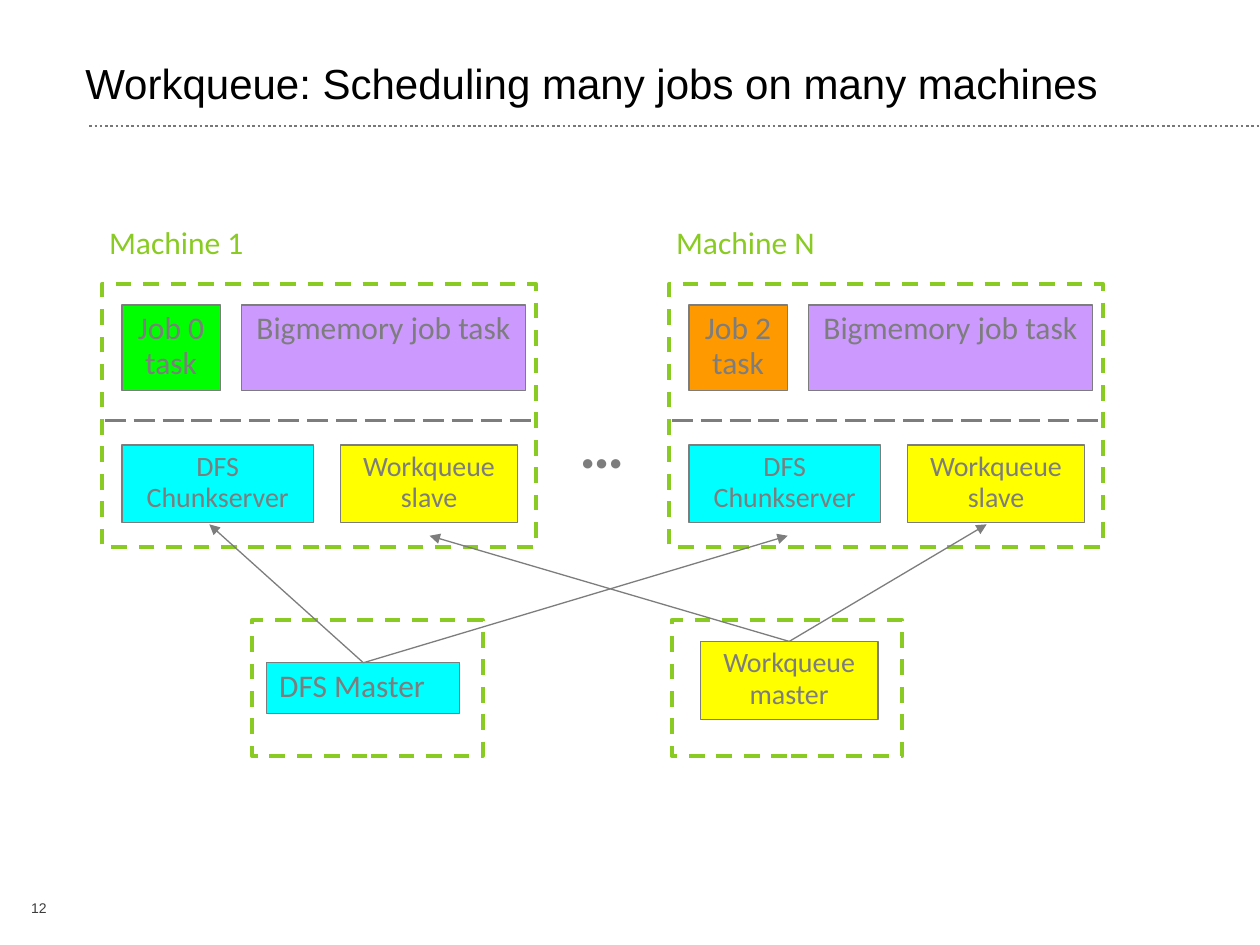
from lxml import etree
from pptx import Presentation
from pptx.dml.color import RGBColor
from pptx.enum import dml, shapes, text
from pptx.oxml import ns
from pptx.util import Cm, Pt

BLACK = RGBColor(0x00, 0x00, 0x00)
GRAY = RGBColor(0x7D, 0x7D, 0x7D)
RULE_GRAY = RGBColor(0x77, 0x77, 0x77)
NUMBER_GRAY = RGBColor(0x3C, 0x3C, 0x3C)
MACHINE_GREEN = RGBColor(0x89, 0xCB, 0x22)
CYAN = RGBColor(0x00, 0xFF, 0xFF)
YELLOW = RGBColor(0xFF, 0xFF, 0x00)
GREEN = RGBColor(0x00, 0xFF, 0x00)
ORANGE = RGBColor(0xFF, 0x99, 0x00)
PURPLE = RGBColor(0xCC, 0x99, 0xFF)

CENTER = text.PP_ALIGN.CENTER
LEFT = text.PP_ALIGN.LEFT
TOP = text.MSO_ANCHOR.TOP
DASH = dml.MSO_LINE


class Diagram:
    font = "Calibri"
    spacing = 0.93

    def __init__(self, slide):
        self.slide = slide

    def style_text(self, frame, content, size, color, align=LEFT, anchor=TOP,
                   font=None, bold=False, spacing=None, bottom=0.13):
        frame.text = content
        frame.word_wrap = True
        frame.auto_size = text.MSO_AUTO_SIZE.NONE
        frame.vertical_anchor = anchor
        frame.margin_left = frame.margin_right = Cm(0.25)
        frame.margin_top, frame.margin_bottom = Cm(0.13), Cm(bottom)
        for paragraph in frame.paragraphs:
            paragraph.alignment = align
            paragraph.line_spacing = spacing or self.spacing
            for run in paragraph.runs:
                run.font.name = font or self.font
                run.font.size = Pt(size)
                run.font.bold = bold
                run.font.color.rgb = color

    def title(self, content):
        heading = self.slide.shapes.title
        heading.left, heading.top = Cm(1.47), Cm(0.41)
        heading.width, heading.height = Cm(23.29), Cm(1.9)
        self.style_text(heading.text_frame, content, 24, BLACK, font="Arial",
                        anchor=text.MSO_ANCHOR.BOTTOM, spacing=0.87)

    def label(self, content, left, top, width, height, size, color, **style):
        box = self.slide.shapes.add_textbox(Cm(left), Cm(top), Cm(width), Cm(height))
        self.style_text(box.text_frame, content, size, color, **style)

    def rectangle(self, left, top, width, height, color, weight):
        box = self.slide.shapes.add_shape(
            shapes.MSO_SHAPE.RECTANGLE, Cm(left), Cm(top), Cm(width), Cm(height))
        box.shadow.inherit = False
        box.line.color.rgb = color
        box.line.width = Pt(weight)
        return box

    def process(self, content, left, top, width, height, fill, size=16, align=CENTER):
        box = self.rectangle(left, top, width, height, GRAY, 0.75)
        box.fill.solid()
        box.fill.fore_color.rgb = fill
        self.style_text(box.text_frame, content, size, GRAY, align=align, bottom=0.18)
        return box

    def boundary(self, left, top, width, height):
        box = self.rectangle(left, top, width, height, MACHINE_GREEN, 2.25)
        box.fill.background()
        box.line.dash_style = DASH.DASH

    def line(self, x1, y1, x2, y2, color=GRAY, weight=1.5, dash=None):
        connector = self.slide.shapes.add_connector(
            shapes.MSO_CONNECTOR.STRAIGHT, Cm(x1), Cm(y1), Cm(x2), Cm(y2))
        connector.line.color.rgb = color
        connector.line.width = Pt(weight)
        if dash:
            connector.line.dash_style = dash
        etree.SubElement(connector._element.spPr, ns.qn("a:effectLst"))
        return connector

    def arrow(self, master, x, y):
        connector = self.line(0, 0, x, y, weight=0.75)
        connector.begin_connect(master, 0)
        outline = connector._element.spPr.find(ns.qn("a:ln"))
        etree.SubElement(outline, ns.qn("a:tailEnd"), type="triangle")

    def machine(self, name, left, job, job_color):
        self.label(name, left - 0.11, 4.44, 3.5, 1.22, 18, MACHINE_GREEN)
        self.boundary(left, 5.72, 8.74, 5.31)
        self.process(job, left + 0.4, 6.15, 1.98, 1.73, job_color, 18)
        self.process("Bigmemory job task", left + 2.81, 6.15, 5.72, 1.73, PURPLE, 18)
        self.line(left + 0.05, 8.48, left + 8.74, 8.48, dash=DASH.LONG_DASH)
        self.process("DFS\nChunkserver", left + 0.4, 8.97, 3.86, 1.57, CYAN)
        self.process("Workqueue\nslave", left + 4.8, 8.97, 3.58, 1.57, YELLOW)


def main():
    deck = Presentation()
    deck.slide_width, deck.slide_height = Cm(25.4), Cm(19.05)
    diagram = Diagram(deck.slides.add_slide(deck.slide_layouts[5]))

    diagram.line(1.8, 2.54, 25.43, 2.54, RULE_GRAY, dash=DASH.ROUND_DOT)
    diagram.title("Workqueue: Scheduling many jobs on many machines")

    diagram.machine("Machine 1", 2.06, "Job 0\ntask", GREEN)
    diagram.machine("Machine N", 13.49, "Job 2\ntask", ORANGE)
    diagram.label("…", 11.43, 8.18, 1.6, 1.68, 36, GRAY, bold=True)

    for master_left in (5.08, 13.54):
        diagram.boundary(master_left, 12.5, 4.65, 2.74)
    dfs_master = diagram.process("DFS Master", 5.38, 13.36, 3.89, 1.02, CYAN, 18, LEFT)
    workqueue_master = diagram.process(
        "Workqueue\nmaster", 14.12, 12.93, 3.58, 1.57, YELLOW)

    for master, x, y in (
        (dfs_master, 4.22, 10.57),
        (dfs_master, 15.88, 10.8),
        (workqueue_master, 8.66, 10.8),
        (workqueue_master, 19.89, 10.57),
    ):
        diagram.arrow(master, x, y)

    diagram.label("12", 0.38, 18.01, 1.09, 0.61, 8, NUMBER_GRAY,
                  font="Arial", anchor=text.MSO_ANCHOR.MIDDLE)
    deck.save("out.pptx")


if __name__ == "__main__":
    main()
